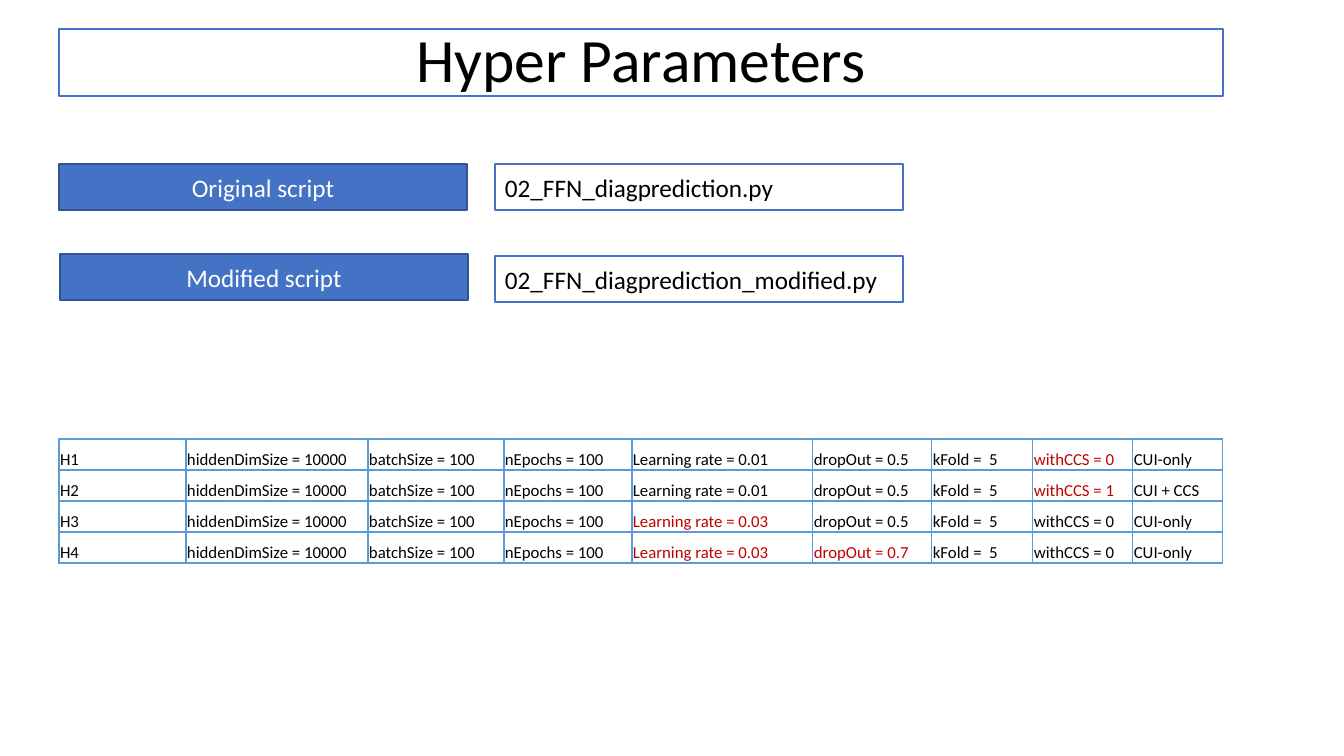
import pptx
import pptx.util
import pptx.dml.color
import pptx.enum.shapes
import pptx.enum.text
import pptx.oxml

COLORS = {
    "white": "FFFFFF", "black": "000000", "red": "C00000",
    "blue": "4472C4", "dark_blue": "325491", "grid": "5B9BD5",
}
PX = 914400 / 100.8
ALIGN = pptx.enum.text.PP_ALIGN
ANCHOR = pptx.enum.text.MSO_ANCHOR


def px(n):
    return pptx.util.Emu(round(n * PX))


def rgb(name):
    return pptx.dml.color.RGBColor.from_string(COLORS[name])


class Deck:
    font = "Calibri"

    def __init__(self, prs):
        self.s = prs.slides.add_slide(prs.slide_layouts[6])

    def text(self, tf, text, size, color, align=ALIGN.LEFT, spacing=None):
        p = tf.paragraphs[0]
        p.alignment = align
        p.line_spacing = spacing
        r = p.add_run()
        r.text = text
        r.font.name = self.font
        r.font.size = pptx.util.Pt(size)
        r.font.color.rgb = rgb(color)

    def box(self, x, y, w, h, text, fill="white", line="blue", color="black",
            size=18, align=ALIGN.LEFT, spacing=None):
        sp = self.s.shapes.add_shape(
            pptx.enum.shapes.MSO_SHAPE.RECTANGLE, px(x), px(y), px(w), px(h))
        sp.shadow.inherit = False
        sp.fill.solid()
        sp.fill.fore_color.rgb = rgb(fill)
        sp.line.color.rgb = rgb(line)
        sp.line.width = pptx.util.Pt(1)
        sp.text_frame.word_wrap = True
        sp.text_frame.vertical_anchor = ANCHOR.MIDDLE
        self.text(sp.text_frame, text, size, color, align, spacing)

    def borders(self, cell):
        tcPr = cell._tc.get_or_add_tcPr()
        for side in ("lnL", "lnR", "lnT", "lnB"):
            tcPr.append(pptx.oxml.parse_xml(
                f'<a:{side} xmlns:a="http://schemas.openxmlformats.org/drawingml/2006/main"'
                f' w="12700"><a:solidFill><a:srgbClr val="{COLORS["grid"]}"/>'
                f'</a:solidFill></a:{side}>'))

    def table(self, x, y, widths, row_h, rows, marked, size=12):
        tb = self.s.shapes.add_table(
            len(rows), len(widths), px(x), px(y),
            px(sum(widths)), px(row_h * len(rows))).table
        tb.first_row = tb.horz_banding = False
        for col, w in zip(tb.columns, widths):
            col.width = px(w)
        for i, row in enumerate(rows):
            tb.rows[i].height = px(row_h)
            for j, value in enumerate(row):
                cell = tb.cell(i, j)
                cell.margin_left = cell.margin_right = cell.margin_top = px(1)
                cell.margin_bottom = 0
                cell.vertical_anchor = ANCHOR.BOTTOM
                self.borders(cell)
                cell.fill.background()
                color = "red" if (i, j) in marked else "black"
                self.text(cell.text_frame, value, size, color)


prs = pptx.Presentation()
prs.slide_width, prs.slide_height = px(1344), px(756)
deck = Deck(prs)

# Title
LEFT = 59
deck.box(LEFT, 29, 1164, 67, "Hyper Parameters", size=44,
         align=ALIGN.CENTER, spacing=0.9)

# Script labels and file names
scripts = [
    (LEFT, 164, 164, "Original script", "02_FFN_diagprediction.py"),
    (LEFT + 1, 254, 256, "Modified script", "02_FFN_diagprediction_modified.py"),
]
for x, label_y, file_y, label, file_name in scripts:
    deck.box(x, label_y, 408, 46, label, "blue", "dark_blue", "white",
             align=ALIGN.CENTER)
    deck.box(495, file_y, 408, 46, file_name)

# Hyperparameter runs, with the changed values in red
runs = [
    ("H1 ", "0.01", "0.5", 0, "CUI-only"),
    ("H2", "0.01", "0.5", 1, "CUI + CCS"),
    ("H3 ", "0.03", "0.5", 0, "CUI-only"),
    ("H4", "0.03", "0.7", 0, "CUI-only"),
]
rows = [
    (name, "hiddenDimSize = 10000", "batchSize = 100", "nEpochs = 100",
     f"Learning rate = {rate}", f"dropOut = {drop}", "kFold =  5 ",
     f"withCCS = {ccs}", inputs)
    for name, rate, drop, ccs, inputs in runs
]
changed = {(0, 7), (1, 7), (2, 4), (3, 4), (3, 5)}
deck.table(LEFT, 439, [127, 182, 136, 128, 181, 119, 101, 100, 90], 31,
           rows, changed)

prs.save("out.pptx")
